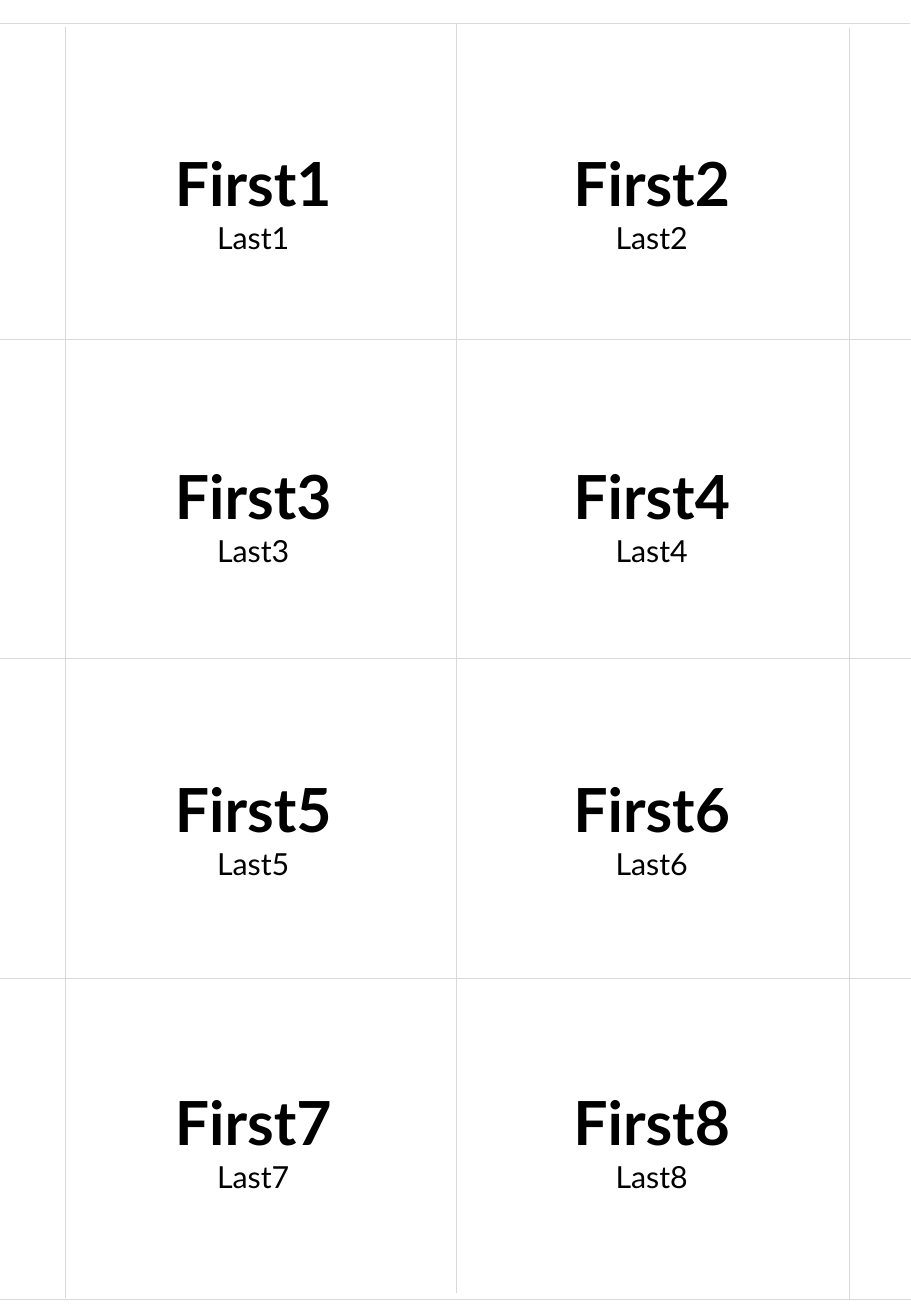
from lxml import etree
from pptx import Presentation
from pptx.dml.color import RGBColor
from pptx.enum import shapes, text
from pptx.oxml.ns import qn
from pptx.util import Inches, Pt

PAGE_WIDTH, PAGE_HEIGHT = 7.5, 10.83
ROWS = 4
NAME_LEFTS = (0.51, 3.79)
FIRST_NAME_TOP, LAST_NAME_TOP = 1.15, 8.88
NAME_WIDTH, NAME_HEIGHT = 3.15, 1.01

# Cut lines: y, right end / x, top, bottom
ROW_CUTS = ((0.19, 7.49), (2.79, PAGE_WIDTH), (5.42, PAGE_WIDTH),
            (8.05, PAGE_WIDTH), (10.69, PAGE_WIDTH))
COLUMN_CUTS = ((0.54, 0.22, 10.68), (3.76, 0.19, 10.64), (6.99, 0.23, 10.69))


def paint(color_format, hex_color):
    color_format.rgb = RGBColor.from_string(hex_color)


def add_cut_line(slide, x1, y1, x2, y2):
    cut = slide.shapes.add_connector(
        shapes.MSO_CONNECTOR.STRAIGHT,
        Inches(x1), Inches(y1), Inches(x2), Inches(y2))
    paint(cut.line.color, "D9D9D9")
    cut.line.width = Pt(0.5)
    etree.SubElement(cut._element.spPr, qn("a:effectLst"))


def add_name(slide, left, top, number):
    name = slide.shapes.add_textbox(
        Inches(left), Inches(top), Inches(NAME_WIDTH), Inches(NAME_HEIGHT))
    frame = name.text_frame
    frame.word_wrap = True
    frame.auto_size = text.MSO_AUTO_SIZE.SHAPE_TO_FIT_TEXT
    frame.text = f"First{number}\nLast{number}"
    for line, size, bold in zip(frame.paragraphs, (36, 18), (True, False)):
        line.alignment = text.PP_ALIGN.CENTER
        line.font.name = "Lato"
        line.font.size = Pt(size)
        line.font.bold = bold
        paint(line.font.color, "000000")


def main():
    deck = Presentation()
    deck.slide_width = Inches(PAGE_WIDTH)
    deck.slide_height = Inches(PAGE_HEIGHT)
    badges = deck.slides.add_slide(deck.slide_layouts[6])

    # Cut lines around the badges
    for y, right in ROW_CUTS:
        add_cut_line(badges, 0, y, right, y)
    for x, top, bottom in COLUMN_CUTS:
        add_cut_line(badges, x, top, x, bottom)

    # Names, numbered row by row
    row_pitch = (LAST_NAME_TOP - FIRST_NAME_TOP) / (ROWS - 1)
    for row in range(ROWS):
        for column, left in enumerate(NAME_LEFTS):
            number = row * len(NAME_LEFTS) + column + 1
            add_name(badges, left, FIRST_NAME_TOP + row * row_pitch, number)

    deck.save("out.pptx")


main()
